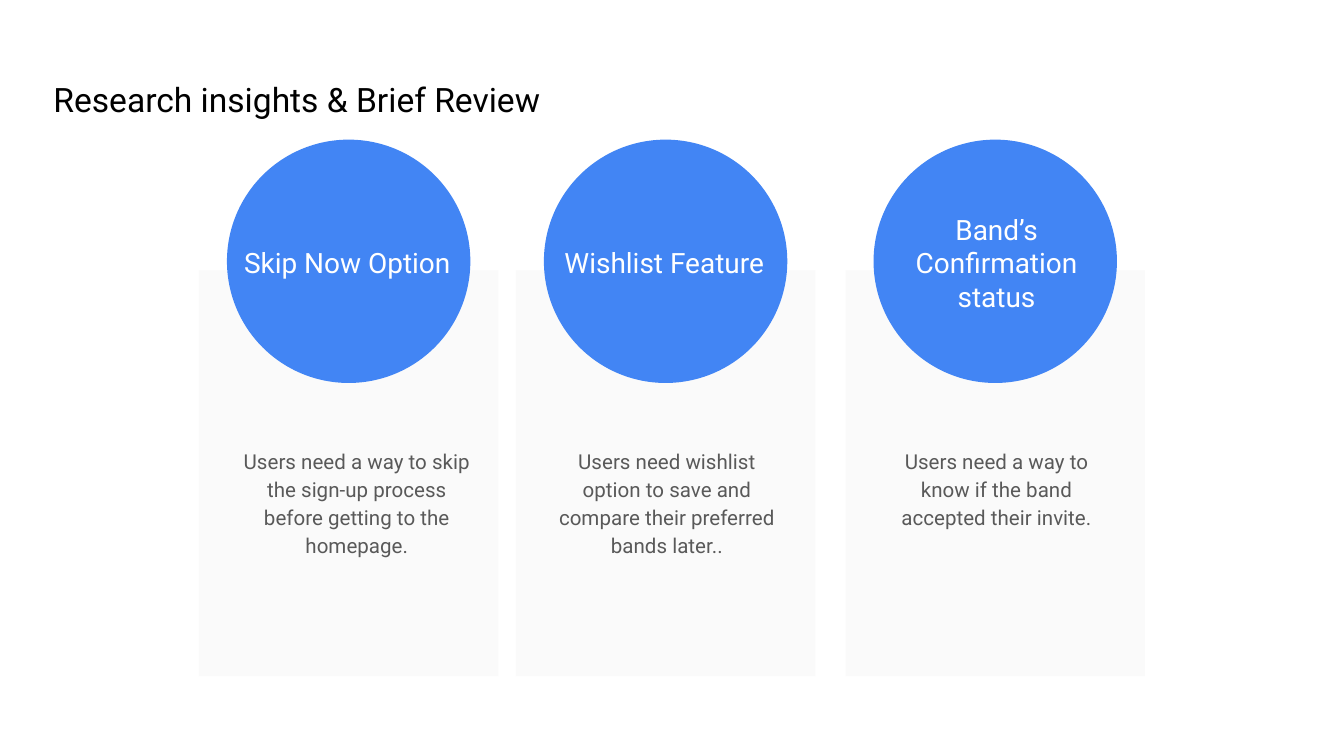
from pptx import Presentation
from pptx.dml.color import RGBColor
from pptx.enum.shapes import MSO_SHAPE
from pptx.enum.text import PP_ALIGN
from pptx.util import Cm, Pt

FONT = "Roboto"
BLACK = RGBColor(0x00, 0x00, 0x00)
WHITE = RGBColor(0xFF, 0xFF, 0xFF)
GREY = RGBColor(0x59, 0x59, 0x59)
BLUE = RGBColor(0x42, 0x85, 0xF4)
PALE = RGBColor(0xFA, 0xFA, 0xFA)

# Sizes in centimetres
INSET = 0.25
CARD_WIDTH, CARD_HEIGHT, CARD_TOP = 5.66, 7.67, 5.11
CIRCLE_SIZE, CIRCLE_TOP = 4.6, 2.64
TEXT_WIDTH = 4.95
BODY_TOP, BODY_INSET = 7.06, 1.35

# Card left, heading left and top, body left, heading, body
INSIGHTS = [
    (3.76, 4.09, 4.39, 4.27, "Skip Now Option",
     "Users need a way to skip the sign-up process before getting to the homepage."),
    (9.75, 10.08, 4.39, 10.13, "Wishlist Feature",
     "Users need wishlist option to save and compare their preferred bands later.."),
    (15.98, 16.36, 3.76, 16.36, "Band’s Confirmation status",
     "Users need a way to know if the band accepted their invite."),
]


def add_filled_shape(page, kind, left, top, width, height, color):
    shape = page.shapes.add_shape(kind, Cm(left), Cm(top), Cm(width), Cm(height))
    shape.shadow.inherit = False
    shape.fill.solid()
    shape.fill.fore_color.rgb = color
    shape.line.fill.background()


def add_text(page, text, left, top, width, height, size, color,
             align=PP_ALIGN.CENTER, line_spacing=1.0, top_inset=INSET):
    box = page.shapes.add_textbox(Cm(left), Cm(top), Cm(width), Cm(height))
    frame = box.text_frame
    frame.word_wrap = True
    frame.margin_left = frame.margin_right = frame.margin_bottom = Cm(INSET)
    frame.margin_top = Cm(top_inset)
    para = frame.paragraphs[0]
    para.text = text
    para.alignment = align
    para.line_spacing = line_spacing
    para.font.name = FONT
    para.font.size = Pt(size)
    para.font.color.rgb = color


def add_insight(page, card_left, heading_left, heading_top, body_left, heading, body):
    # Card with a circle centred over its top edge
    add_filled_shape(page, MSO_SHAPE.RECTANGLE, card_left, CARD_TOP,
                     CARD_WIDTH, CARD_HEIGHT, PALE)
    circle_left = card_left + (CARD_WIDTH - CIRCLE_SIZE) / 2
    add_filled_shape(page, MSO_SHAPE.OVAL, circle_left, CIRCLE_TOP,
                     CIRCLE_SIZE, CIRCLE_SIZE, BLUE)
    # Heading in the circle, explanation on the card
    add_text(page, heading, heading_left, heading_top, TEXT_WIDTH, 1.5, 15, WHITE)
    add_text(page, body, body_left, BODY_TOP, TEXT_WIDTH, 3.73, 11, GREY,
             line_spacing=1.15, top_inset=BODY_INSET)


def main():
    deck = Presentation()
    deck.slide_width, deck.slide_height = Cm(25.4), Cm(14.29)
    page = deck.slides.add_slide(deck.slide_layouts[6])

    # Insight cards
    for insight in INSIGHTS:
        add_insight(page, *insight)

    # Title
    add_text(page, "Research insights & Brief Review", 0.76, 1.12, 12.8, 1.35,
             18, BLACK, align=PP_ALIGN.LEFT, line_spacing=1.15)

    deck.save("out.pptx")


if __name__ == "__main__":
    main()
